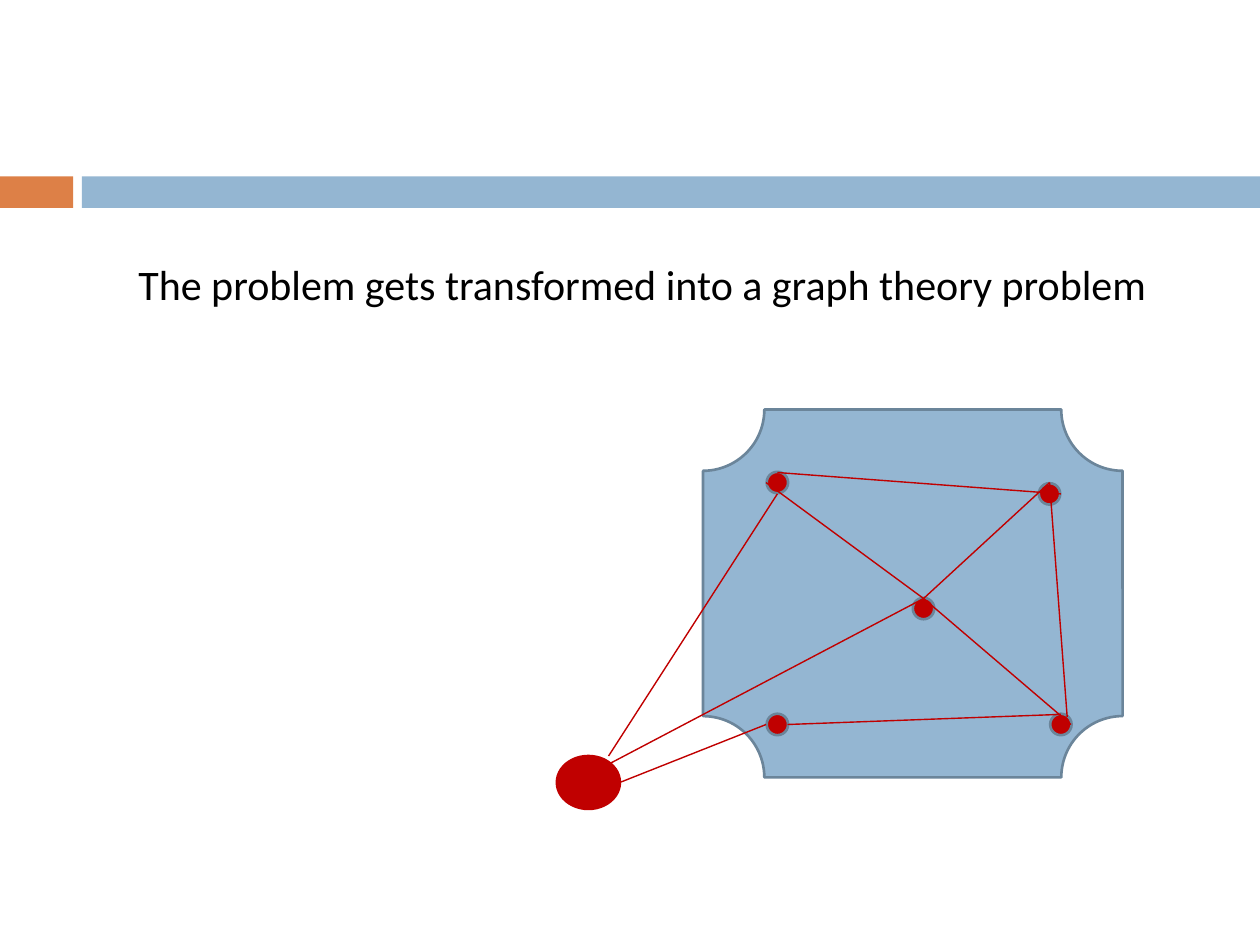
import pptx
import pptx.dml.color
import pptx.enum.shapes
import pptx.enum.text
import pptx.oxml.ns
import pptx.util
from lxml import etree

Inches = pptx.util.Inches
Pt = pptx.util.Pt
SHAPES = pptx.enum.shapes.MSO_SHAPE

ORANGE, BLUE, SLATE, RED = "DD8047", "94B6D2", "6B859A", "C00000"
STATEMENT = "The problem gets transformed into a graph theory problem"

BANDS = [((0, 1.4, 0.58, 0.25), ORANGE), ((0.65, 1.4, 9.35, 0.25), BLUE)]
REGION = (5.58, 3.25, 3.33, 2.92)
OUTER_VERTEX = (4.42, 6, 0.5, 0.42)
VERTEX_SIZE = 0.17
VERTEX_CENTRES = [(6.17, 3.83), (8.33, 3.92), (6.17, 5.75), (8.42, 5.75), (7.33, 4.83)]
HUB = (7.33, 4.75)  # top of the middle vertex, where four edges meet
EDGES = [
    ((6.17, 3.92), (4.83, 6), RED),
    ((6.42, 3.92), (8.17, 4), BLUE),
    ((6.17, 3.75), (8.42, 3.92), RED),
    ((8.33, 3.83), (8.47, 5.69), RED),
    ((8.42, 5.67), (6.25, 5.75), RED),
    ((6.08, 5.75), (4.92, 6.21), RED),
    (HUB, (4.84, 6.06), RED),
    ((6.08, 3.83), HUB, RED),
    (HUB, (8.5, 5.75), RED),
    ((8.33, 3.83), HUB, RED),
]


def rgb(value):
    return pptx.dml.color.RGBColor.from_string(value)


def add_filled(slide, kind, box, fill, outline=None):
    shape = slide.shapes.add_shape(kind, *map(Inches, box))
    shape.shadow.inherit = False
    shape.fill.solid()
    shape.fill.fore_color.rgb = rgb(fill)
    if outline:
        shape.line.color.rgb = rgb(outline)
        shape.line.width = Pt(1.5)
    else:
        shape.line.fill.background()


def add_edge(slide, start, end, color):
    edge = slide.shapes.add_connector(
        pptx.enum.shapes.MSO_CONNECTOR.STRAIGHT, *map(Inches, start + end))
    edge.line.color.rgb = rgb(color)
    edge.line.width = Pt(0.79)
    properties = edge.element.find(pptx.oxml.ns.qn("p:spPr"))
    etree.SubElement(properties, pptx.oxml.ns.qn("a:effectLst"))


def add_statement(slide):
    box = slide.shapes.add_textbox(Inches(1), Inches(2), Inches(8.5), Inches(0.5))
    frame = box.text_frame
    frame.word_wrap = True
    frame.auto_size = pptx.enum.text.MSO_AUTO_SIZE.SHAPE_TO_FIT_TEXT
    frame.text = STATEMENT
    font = frame.paragraphs[0].runs[0].font
    font.name, font.size = "Calibri", Pt(24)
    font.color.rgb = rgb("000000")


def main():
    deck = pptx.Presentation()
    deck.slide_width, deck.slide_height = Inches(10), Inches(7.5)
    slide = deck.slides.add_slide(deck.slide_layouts[6])

    for box, color in BANDS:
        add_filled(slide, SHAPES.RECTANGLE, box, color)
    add_filled(slide, SHAPES.PLAQUE, REGION, BLUE, SLATE)
    add_filled(slide, SHAPES.OVAL, OUTER_VERTEX, RED, RED)
    for x, y in VERTEX_CENTRES:
        corner = (x - VERTEX_SIZE / 2, y - VERTEX_SIZE / 2)
        add_filled(slide, SHAPES.OVAL, corner + (VERTEX_SIZE, VERTEX_SIZE), RED, SLATE)
    for start, end, color in EDGES:
        add_edge(slide, start, end, color)
    add_statement(slide)

    deck.save("out.pptx")


if __name__ == "__main__":
    main()
